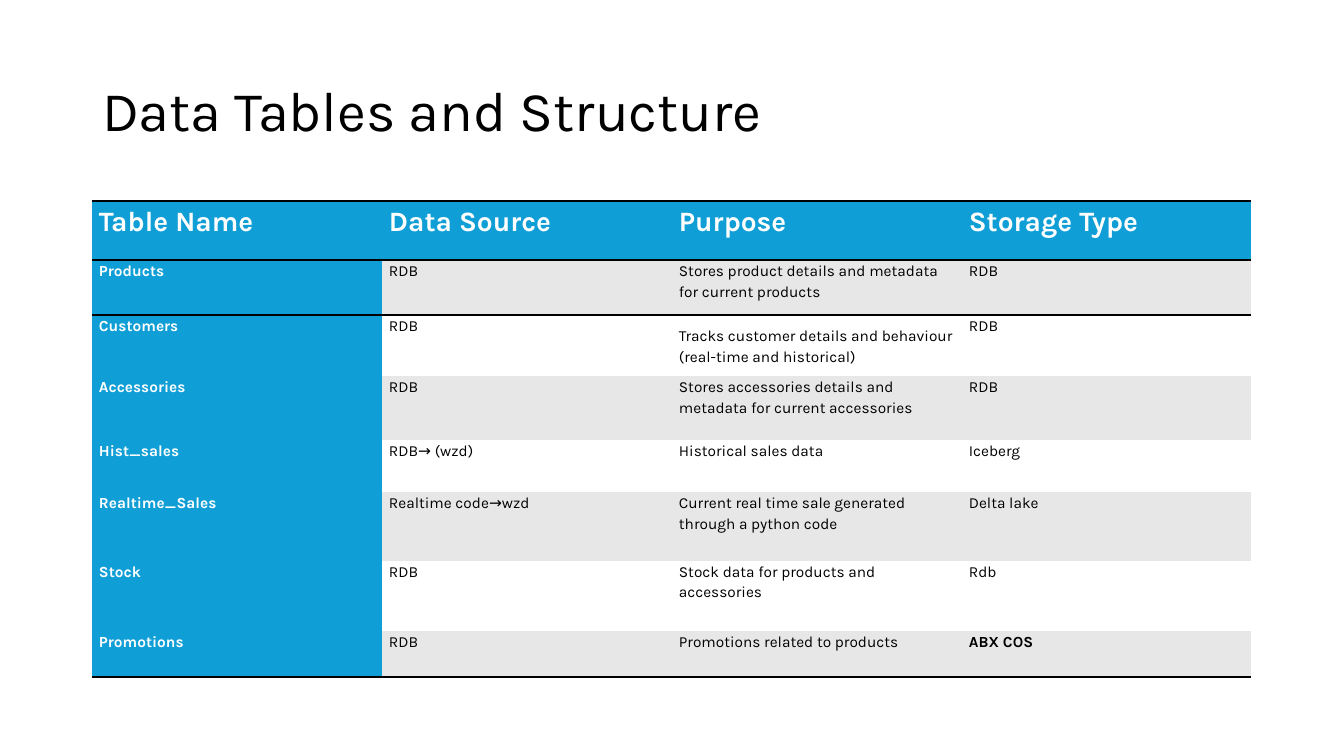
from dataclasses import dataclass

from lxml.etree import SubElement as Sub
from pptx import Presentation as Deck
from pptx.dml.color import RGBColor as Color
from pptx.enum.text import MSO_ANCHOR as Anchor, MSO_AUTO_SIZE as Fit, PP_ALIGN as Align
from pptx.oxml.ns import qn
from pptx.util import Pt


@dataclass
class Theme:
    font: str = "Karla"
    ink: str = "000000"
    light: str = "FFFFFF"
    blue: str = "0F9ED5"
    grey: str = "E7E7E7"
    title: int = 40
    head: int = 20
    body: int = 11
    rule: int = 2


theme = Theme()
SCALE = 12192000 / 1344


def px(count):
    return round(count * SCALE)


def write(frame, text, size=theme.body, color=theme.ink, bold=False, lead=1.14, after=9):
    para = frame.paragraphs[0]
    para.alignment = Align.LEFT
    para.line_spacing = lead
    para.space_before = Pt(0)
    para.space_after = Pt(after)
    run = para.add_run()
    run.text = text
    run.font.name = theme.font
    run.font.size = Pt(size)
    run.font.bold = bold
    run.font.color.rgb = Color.from_string(color)


deck = Deck()
deck.slide_width = px(1344)
deck.slide_height = px(756)
slide = deck.slides.add_slide(deck.slide_layouts[5])

title = slide.shapes.title
title.left, title.top, title.width, title.height = map(px, (92, 40, 1159, 146))
title.text_frame.auto_size = Fit.NONE
title.text_frame.word_wrap = True
title.text_frame.vertical_anchor = Anchor.MIDDLE
write(title.text_frame, "Data Tables and Structure", size=theme.title, lead=0.9, after=0)

rows = [
    ("Table Name", "Data Source", "Purpose", "Storage Type"),
    ("Products", "RDB", "Stores product details and metadata for current products", "RDB"),
    ("Customers", "RDB", "Tracks customer details and behaviour (real-time and historical)", "RDB"),
    ("Accessories", "RDB", "Stores accessories details and metadata for current accessories", "RDB"),
    ("Hist_sales", "RDB→ (wzd)", "Historical sales data", "Iceberg"),
    ("Realtime_Sales", "Realtime code→wzd", "Current real time sale generated through a python code", "Delta lake"),
    ("Stock", "RDB", "Stock data for products and accessories", "Rdb"),
    ("Promotions", "RDB", "Promotions related to products", "ABX COS"),
]
wides = (290, 290, 290, 289)
highs = (59, 55, 61, 64, 52, 69, 70, 46)
last = len(rows) - 1

frame = slide.shapes.add_table(
    len(rows), len(wides), px(92), px(201), px(sum(wides)), px(sum(highs))
)
table = frame.table
table.first_row = False
table.horz_banding = False
style = table._tbl.tblPr.find(qn("a:tableStyleId"))
style.text = "{2D5ABB26-0587-4C30-8999-92F81FD0307C}"
for col, wide in zip(table.columns, wides):
    col.width = px(wide)
for row, high in zip(table.rows, highs):
    row.height = px(high)

for r, texts in enumerate(rows):
    edges = {0: ("a:lnT", "a:lnB"), 1: ("a:lnT",), last: ("a:lnB",)}.get(r, ())
    for c, text in enumerate(texts):
        cell = table.cell(r, c)
        label = r == 0 or c == 0
        cell.margin_left = cell.margin_right = px(7)
        cell.margin_top = cell.margin_bottom = 0
        cell.vertical_anchor = Anchor.MIDDLE if (r, c) == (2, 2) else Anchor.TOP
        for edge in edges:
            line = Sub(cell._tc.get_or_add_tcPr(), qn(edge), w=str(Pt(theme.rule)))
            Sub(Sub(line, qn("a:solidFill")), qn("a:srgbClr"), val=theme.ink)
        band = theme.grey if r % 2 else theme.light
        cell.fill.solid()
        cell.fill.fore_color.rgb = Color.from_string(theme.blue if label else band)
        write(
            cell.text_frame,
            text,
            size=theme.body if r else theme.head,
            color=theme.light if label else theme.ink,
            bold=label or (r, c) == (last, 3),
        )

deck.save("out.pptx")
